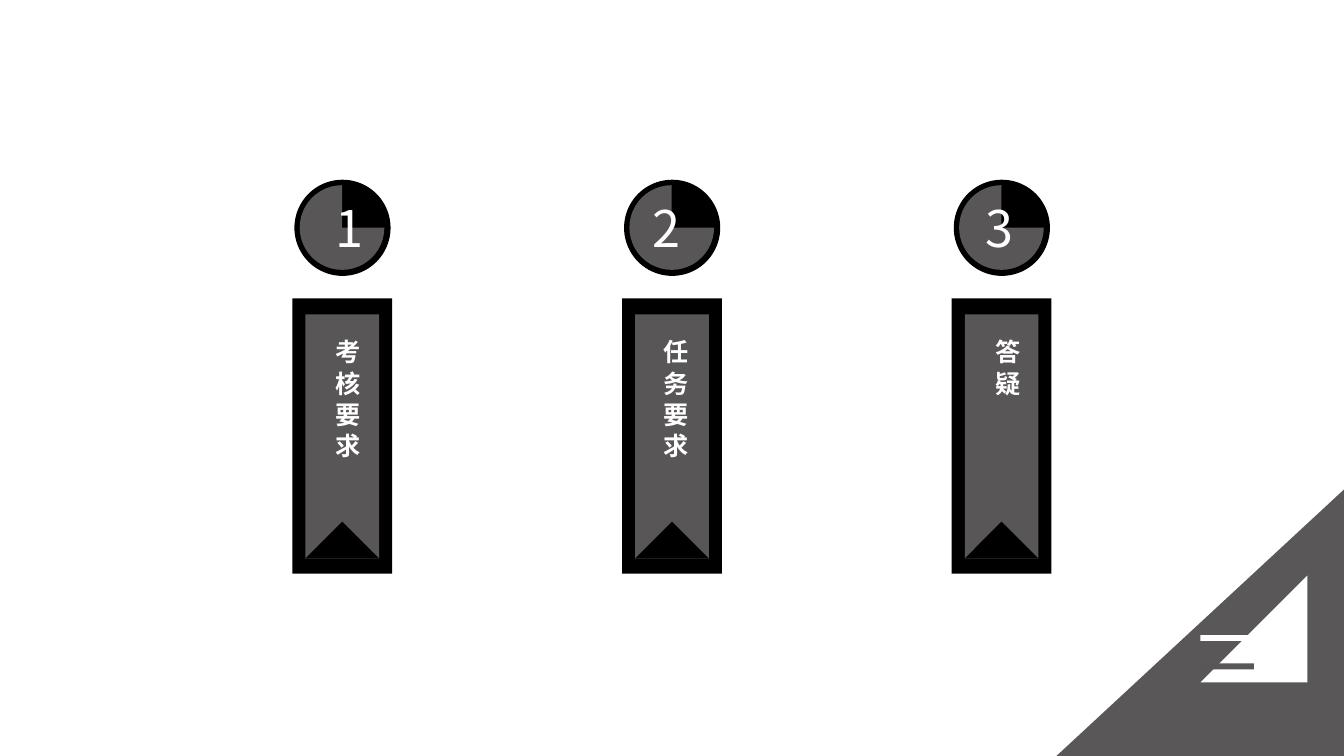
from pptx import Presentation
from pptx.util import Pt
from pptx.dml.color import RGBColor
from pptx.enum.shapes import MSO_SHAPE
from pptx.enum.text import MSO_AUTO_SIZE
from lxml import etree

OVAL = MSO_SHAPE.OVAL
PIE = MSO_SHAPE.PIE
RECT = MSO_SHAPE.RECTANGLE
WEDGE = MSO_SHAPE.RIGHT_TRIANGLE
GROW = MSO_AUTO_SIZE.SHAPE_TO_FIT_TEXT

BLACK = RGBColor(0x00, 0x00, 0x00)
GREY = RGBColor(0x58, 0x56, 0x57)
CORNER = RGBColor(0x59, 0x57, 0x58)
WHITE = RGBColor(0xFF, 0xFF, 0xFF)
FONT = "Noto Sans CJK SC"
DML = "{http://schemas.openxmlformats.org/drawingml/2006/main}"

deck = Presentation()
deck.slide_width, deck.slide_height = Pt(960), Pt(540)
slide = deck.slides.add_slide(deck.slide_layouts[6])


def draw(kind, left, top, width, height, color, turn=0):
    shape = slide.shapes.add_shape(kind, Pt(left), Pt(top), Pt(width), Pt(height))
    shape.shadow.inherit = False
    shape.fill.solid()
    shape.fill.fore_color.rgb = color
    shape.line.fill.background()
    shape.rotation = turn
    return shape


def write(text, left, top, width, height, size, face=FONT):
    box = slide.shapes.add_textbox(Pt(left), Pt(top), Pt(width), Pt(height))
    frame = box.text_frame
    frame.word_wrap = False
    frame.auto_size = GROW
    para = frame.paragraphs[0]
    run = para.add_run()
    run.text = text
    run.font.name = face
    para.font.size = run.font.size = Pt(size)
    run.font.color.rgb = WHITE
    # East Asian glyphs take their own typeface
    etree.SubElement(run.font._element, DML + "ea", typeface=FONT)
    return frame, run


# Agenda columns: text, face, number offset, label offset
items = [
    ("考 核 要 求", FONT, 23.8, 17.3),
    ("任 务 要 求", "Arial", 14.4, 16.6),
    ("答 疑", FONT, 17.3, 18),
]
for i, (label, face, shift, inset) in enumerate(items):
    left = 208.8 + 235.5 * i

    # Numbered badge
    ring = draw(OVAL, left + 2, 128.9, 67.7, 67.7, BLACK)
    ring.line.color.rgb = BLACK
    ring.line.width = Pt(1)
    draw(PIE, left + 5.3, 132.3, 60.5, 60.5, GREY)
    write(str(i + 1), left + shift, 137.5, 31, 51.1, 36)

    # Ribbon with notched end
    draw(RECT, left, 213.1, 71.3, 196.6, BLACK)
    draw(RECT, left + 9.4, 224.6, 52.6, 174.2, GREY)
    draw(WEDGE, left + 17.3, 380.2, 36.7, 36.7, BLACK, 135)

    # Vertical label
    frame, run = write(label, left + inset, 235.4, 36, 113.8, 18, face)
    run.font.bold = True
    frame.word_wrap = True
    frame._txBody.bodyPr.set("vert", "eaVert")

# Corner ornament
draw(WEDGE, 761.8, 342, 190.8, 205.9, CORNER, 270)
draw(WEDGE, 857.5, 411.1, 76.3, 76.3, WHITE, 270)
for top, color in ((473.8, GREY), (453.6, WHITE)):
    draw(RECT, 857.5, top, 38.2, 4.3, color)

deck.save("out.pptx")
